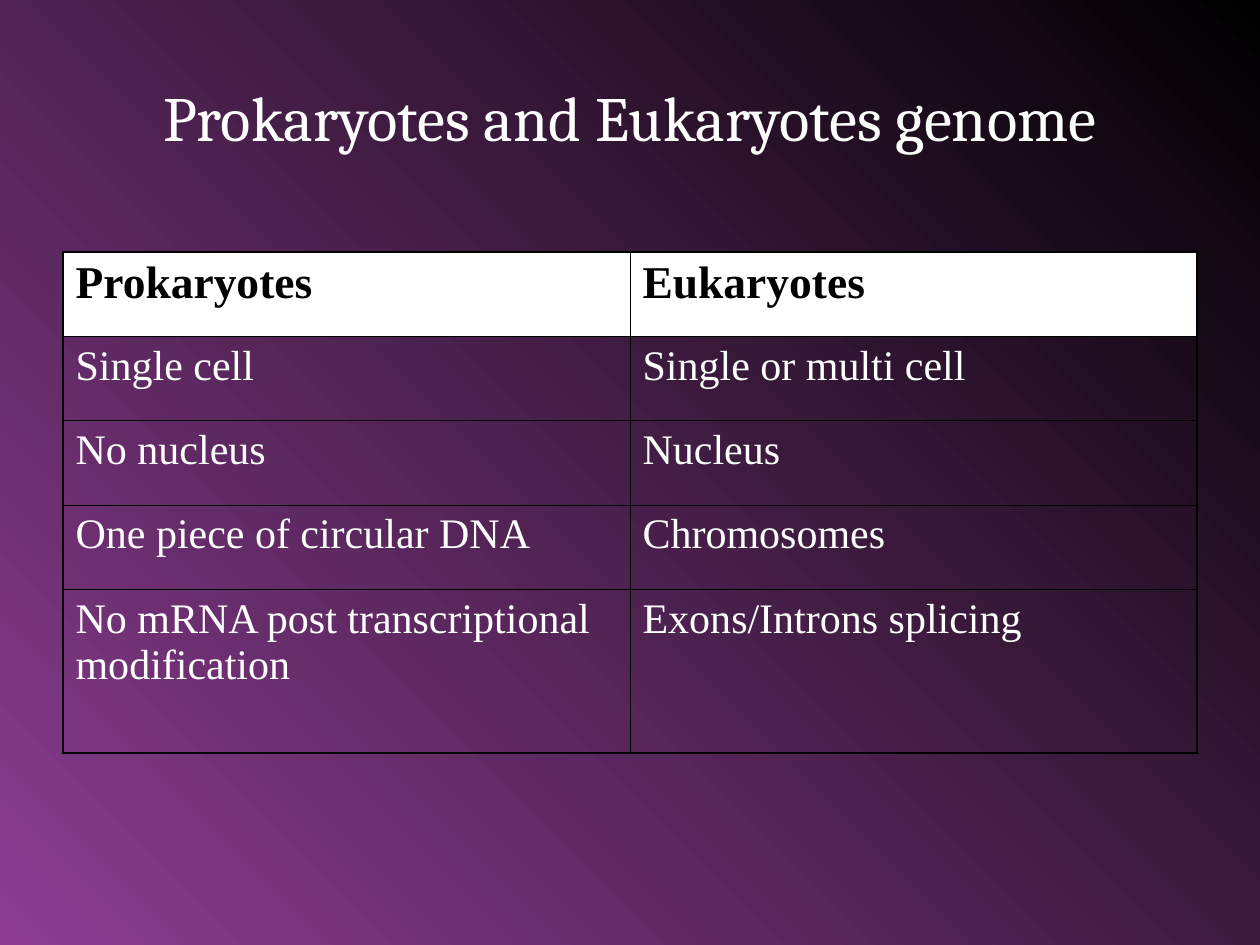
from pptx import Presentation
from pptx import util as u
from pptx.dml import color
from pptx.enum import text
from pptx.oxml import ns
from lxml import etree

TITLE = "Prokaryotes and Eukaryotes genome"
ROWS = [
    ("Prokaryotes", "Eukaryotes"),
    ("Single cell", "Single or multi cell"),
    ("No nucleus", "Nucleus"),
    ("One piece of circular DNA", "Chromosomes"),
    ("No mRNA post transcriptional modification", "Exons/Introns splicing"),
]
ROW_HEIGHTS = [1.7, 1.7, 1.7, 1.7, 3.3]
COLUMN_WIDTH = 11.43
LEFT = 1.27
GRADIENT = ("8C3D91", "000000")
WHITE, BLACK = "FFFFFF", "000000"
OUTER_LINE, INNER_LINE = 1.08, 0.45


def rgb(value):
    return color.RGBColor.from_string(value)


def write(frame, words, size, font, ink, bold=False, before=0,
          align=text.PP_ALIGN.LEFT):
    para = frame.paragraphs[0]
    para.alignment = align
    para.space_before = u.Pt(before)
    span = para.add_run()
    span.text = words
    span.font.size = u.Pt(size)
    span.font.name = font
    span.font.bold = bold
    span.font.color.rgb = rgb(ink)


def set_borders(cell, widths):
    """Draw black cell borders; widths are points for left, right, top, bottom."""
    properties = cell._tc.get_or_add_tcPr()
    for index, (side, width) in enumerate(zip("LRTB", widths)):
        line = etree.Element(ns.qn(f"a:ln{side}"), w=str(u.Pt(width)))
        fill = etree.SubElement(line, ns.qn("a:solidFill"))
        etree.SubElement(fill, ns.qn("a:srgbClr"), val=BLACK)
        properties.insert(index, line)


def add_title(slide):
    box = slide.shapes.add_textbox(
        u.Cm(LEFT), u.Cm(0.76), u.Cm(2 * COLUMN_WIDTH), u.Cm(3.18))
    box.text_frame.word_wrap = True
    box.text_frame.vertical_anchor = text.MSO_ANCHOR.MIDDLE
    write(box.text_frame, TITLE, 36, "Cambria", WHITE,
          align=text.PP_ALIGN.CENTER)


def add_comparison(slide):
    count, columns = len(ROWS), len(ROWS[0])
    table = slide.shapes.add_table(
        count, columns, u.Cm(LEFT), u.Cm(5.08),
        u.Cm(columns * COLUMN_WIDTH), u.Cm(sum(ROW_HEIGHTS))).table
    table.first_row = table.horz_banding = False
    for column in table.columns:
        column.width = u.Cm(COLUMN_WIDTH)
    for r, (words_in_row, height) in enumerate(zip(ROWS, ROW_HEIGHTS)):
        table.rows[r].height = u.Cm(height)
        header = r == 0
        for c, words in enumerate(words_in_row):
            cell = table.cell(r, c)
            if header:
                cell.fill.solid()
                cell.fill.fore_color.rgb = rgb(WHITE)
            else:
                cell.fill.background()
            size = 26 if header else 24
            write(cell.text_frame, words, size, "Times New Roman",
                  BLACK if header else WHITE, bold=header, before=size / 4)
            on_edge = (c == 0, c == columns - 1, r == 0, r == count - 1)
            set_borders(cell, [OUTER_LINE if edge else INNER_LINE
                               for edge in on_edge])


def main():
    deck = Presentation()
    deck.slide_width, deck.slide_height = u.Cm(25.4), u.Cm(19.05)
    slide = deck.slides.add_slide(deck.slide_layouts[6])
    backdrop = slide.background.fill
    backdrop.gradient()
    backdrop.gradient_angle = 45
    for stop, value in zip(backdrop.gradient_stops, GRADIENT):
        stop.color.rgb = rgb(value)
    add_title(slide)
    add_comparison(slide)
    deck.save("out.pptx")


if __name__ == "__main__":
    main()
